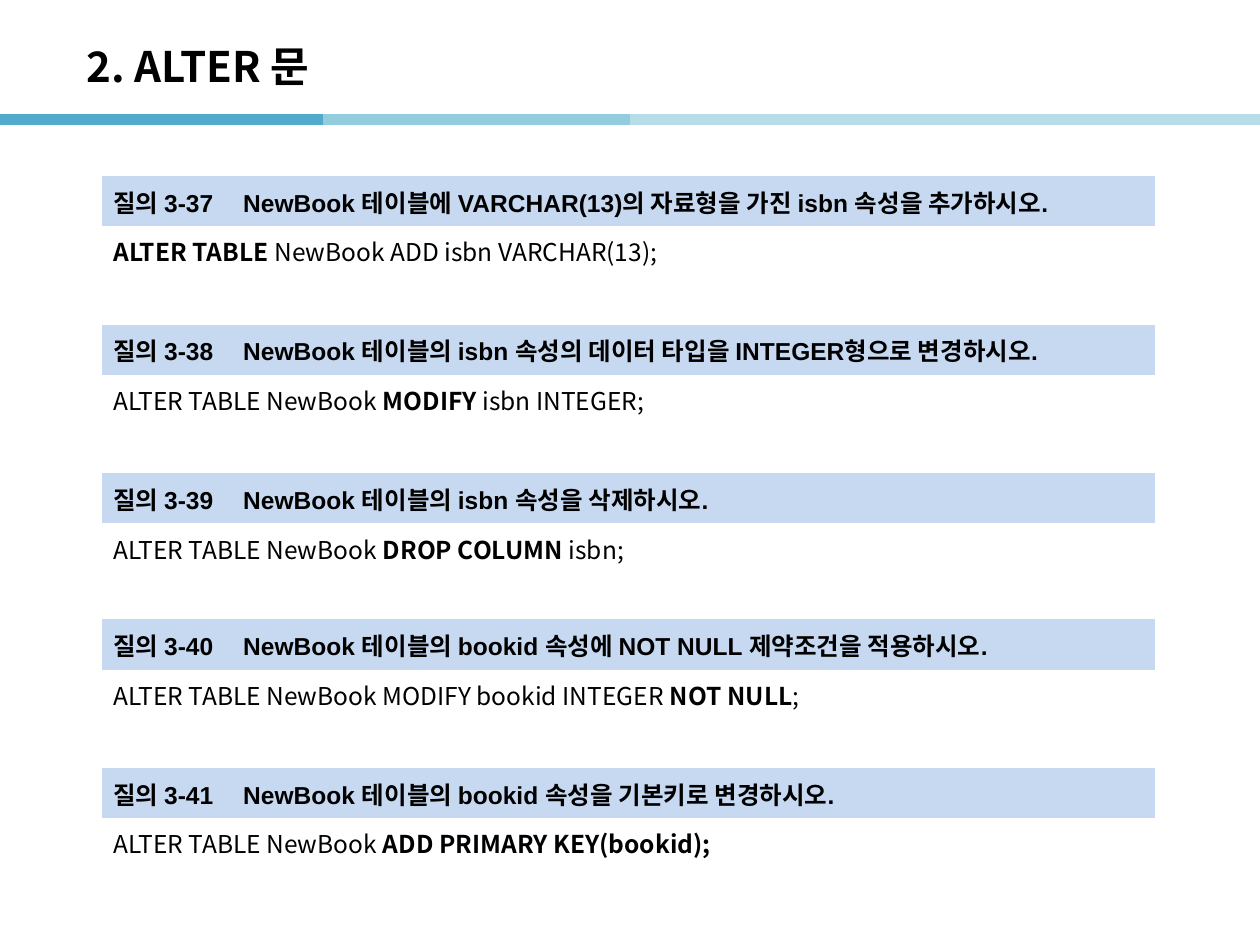
from lxml import etree
from pptx import Presentation
from pptx.dml.color import RGBColor
from pptx.enum.shapes import MSO_CONNECTOR
from pptx.enum.text import MSO_ANCHOR
from pptx.oxml.ns import qn
from pptx.util import Inches, Pt

STRAIGHT = MSO_CONNECTOR.STRAIGHT
MIDDLE = MSO_ANCHOR.MIDDLE
TOP = MSO_ANCHOR.TOP

COLORS = {
    "text": "000000",
    "query": "C6D9F1",
    "code": "FFFFFF",
    "dark": "50ABCC",
    "medium": "93CDDD",
    "light": "B7DEE8",
}
HEADING_FONT = "Arial"
CODE_FONT = "Noto Sans CJK KR"

TITLE = "2. ALTER 문"
# Left end, right end, colour
RULE_PARTS = [
    (0, 2.56, "dark"),
    (2.56, 5.12, "medium"),
    (5, 7.56, "light"),
    (7.46, 10, "light"),
]
# Top, number, question, statement as (text, bold) spans
QUERIES = [
    (1.39, "질의 3-37", "NewBook 테이블에 VARCHAR(13)의 자료형을 가진 isbn 속성을 추가하시오.",
     [("ALTER TABLE ", True), ("NewBook ADD isbn VARCHAR(13);", False)]),
    (2.57, "질의 3-38", "NewBook 테이블의 isbn 속성의 데이터 타입을 INTEGER형으로 변경하시오.",
     [("ALTER TABLE NewBook ", False), ("MODIFY ", True), ("isbn INTEGER;", False)]),
    (3.75, "질의 3-39", "NewBook 테이블의 isbn 속성을 삭제하시오.",
     [("ALTER TABLE NewBook ", False), ("DROP COLUMN ", True), ("isbn;", False)]),
    (4.91, "질의 3-40", "NewBook 테이블의 bookid 속성에 NOT NULL 제약조건을 적용하시오.",
     [("ALTER TABLE NewBook MODIFY bookid INTEGER ", False), ("NOT NULL", True), (";", False)]),
    (6.09, "질의 3-41", "NewBook 테이블의 bookid 속성을 기본키로 변경하시오.",
     [("ALTER TABLE NewBook ", False), ("ADD PRIMARY KEY(bookid);", True)]),
]
TABLE_LEFT, TABLE_WIDTH, ROW_HEIGHT = 0.8, 8.37, 0.41
RULE_TOP = 0.95
QUESTION_TAB = 1.03


def rgb(name):
    return RGBColor.from_string(COLORS[name])


def set_font(font, name, size):
    font.name = name
    font.size = Pt(size)
    font.color.rgb = rgb("text")


def add_title(slide):
    box = slide.shapes.add_textbox(Inches(0.59), Inches(0.22), Inches(8.27), Inches(0.6))
    frame = box.text_frame
    frame.word_wrap = True
    frame.vertical_anchor = MIDDLE
    para = frame.paragraphs[0]
    para.text = TITLE
    set_font(para.font, CODE_FONT, 24)
    para.font.bold = True


def add_rule(slide):
    for left, right, color in RULE_PARTS:
        line = slide.shapes.add_connector(
            STRAIGHT, Inches(left), Inches(RULE_TOP), Inches(right), Inches(RULE_TOP))
        line.line.color.rgb = rgb(color)
        line.line.width = Pt(6)
        etree.SubElement(line._element.spPr, qn("a:effectLst"))


def add_tab_stop(para, position):
    tabs = etree.SubElement(para._p.get_or_add_pPr(), qn("a:tabLst"))
    etree.SubElement(tabs, qn("a:tab"), pos=str(Inches(position)), algn="l")


def fill_cell(cell, color, anchor):
    cell.fill.solid()
    cell.fill.fore_color.rgb = rgb(color)
    cell.vertical_anchor = anchor
    return cell.text_frame.paragraphs[0]


def add_query(slide, top, number, question, statement):
    table = slide.shapes.add_table(
        2, 1, Inches(TABLE_LEFT), Inches(top), Inches(TABLE_WIDTH), Inches(2 * ROW_HEIGHT)).table
    table.first_row = False
    table.horz_banding = False

    heading = fill_cell(table.cell(0, 0), "query", MIDDLE)
    add_tab_stop(heading, QUESTION_TAB)
    heading.line_spacing = Pt(21)
    heading.add_run().text = f"{number}\t{question}"
    set_font(heading.font, HEADING_FONT, 14)
    heading.font.bold = True

    code = fill_cell(table.cell(1, 0), "code", TOP)
    set_font(code.font, CODE_FONT, 14)
    for text, bold in statement:
        span = code.add_run()
        span.text = text
        span.font.bold = bold


def main():
    deck = Presentation()
    deck.slide_width, deck.slide_height = Inches(10), Inches(7.5)
    slide = deck.slides.add_slide(deck.slide_layouts[6])
    add_rule(slide)
    add_title(slide)
    for query in QUERIES:
        add_query(slide, *query)
    deck.save("out.pptx")


if __name__ == "__main__":
    main()
